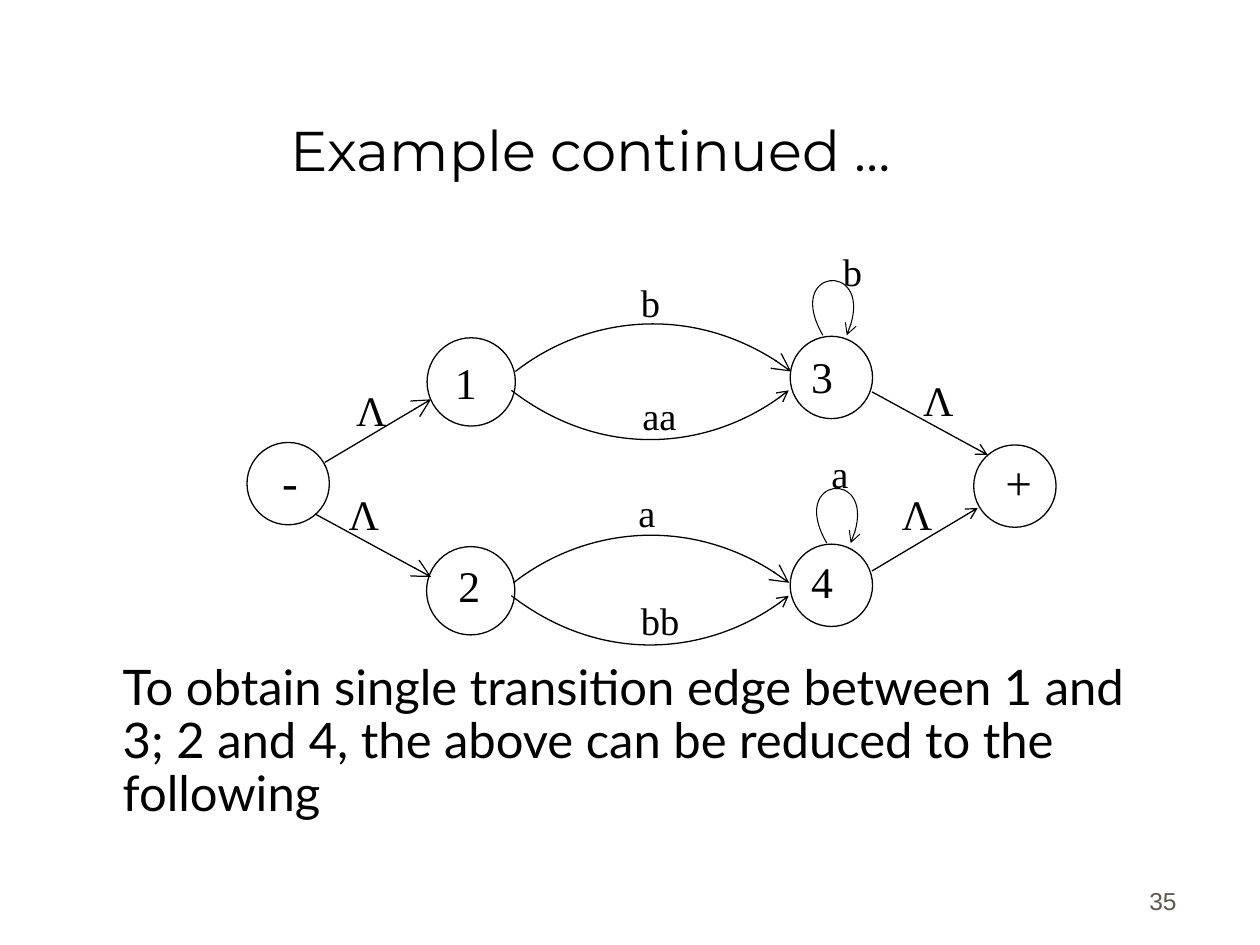
from lxml import etree
from pptx import Presentation
from pptx.dml.color import RGBColor
from pptx.enum import shapes, text
from pptx.oxml.ns import qn
from pptx.util import Cm, Pt

BLACK, WHITE, GREY = "000000", "FFFFFF", "5E574E"
SERIF = "Times New Roman"

TITLE = "Example continued …"
EXPLANATION = ("To obtain single transition edge between 1 and 3; 2 and 4, "
               "the above can be reduced to the following")
PAGE = "35"

# Positions and sizes are in centimetres.
# state: circle left, top, diameter; label left, top, size in points
STATES = {
    "1": (8.61, 6.81, 1.78, 8.92, 7.04, 25),
    "2": (8.6, 11.02, 1.78, 8.99, 11.13, 25),
    "3": (15.93, 6.78, 1.66, 16.1, 6.93, 25),
    "4": (15.93, 10.97, 1.66, 16.1, 11.05, 25),
    "-": (4.98, 8.92, 1.66, 5.44, 8.99, 27),
    "+": (19.63, 8.97, 1.66, 20.02, 9.02, 27),
}
# start, end, arrowhead size
STRAIGHT_EDGES = [
    ((6.55, 9.32), (8.69, 8.05), "lg"),
    ((6.35, 10.36), (8.69, 11.63), "lg"),
    ((17.58, 7.9), (19.91, 9.17), "med"),
    ((17.58, 11.51), (19.71, 10.24), "med"),
]
# Bézier points in the upper row, offset to the lower row, width, arrowhead size
CURVED_EDGES = [
    ([(10.39, 7.49), (11.81, 6.38), (14.12, 6.1), (15.95, 7.49)], (-0.04, 4.26), 0.75, "lg"),
    ([(10.31, 7.87), (12.17, 9.3), (14.48, 9.02), (15.9, 7.87)], (0, 4.14), 0.75, "med"),
    ([(16.59, 6.76), (15.8, 5.41), (17.73, 5.23), (17.07, 6.76)], (0.08, 4.19), 0.6, "med"),
]
# label, left, top, width, size in points
EDGE_LABELS = [
    ("b", 12.67, 5.51, 1.04, 22),
    ("aa", 12.7, 7.77, 1.24, 22),
    ("a", 12.62, 9.73, 1.04, 22),
    ("bb", 12.67, 11.91, 1.7, 22),
    ("b", 16.74, 4.88, 1.04, 22),
    ("a", 16.51, 8.94, 1.04, 22),
    ("Λ", 6.93, 7.62, 1.12, 24),
    ("Λ", 6.78, 9.73, 1.12, 24),
    ("Λ", 18.36, 7.42, 1.12, 24),
    ("Λ", 17.93, 9.73, 1.12, 24),
]


def rgb(color):
    return RGBColor.from_string(color)


def write(shape, words, size, font, color=BLACK):
    frame = shape.text_frame
    frame.word_wrap = True
    frame.auto_size = text.MSO_AUTO_SIZE.NONE
    frame.text = words
    paragraph = frame.paragraphs[0]
    paragraph.space_before = Pt(0)
    paragraph.font.size = Pt(size)
    paragraph.font.name = font
    paragraph.font.color.rgb = rgb(color)
    return paragraph


def place(shape, left, top, width, height):
    shape.left, shape.top = Cm(left), Cm(top)
    shape.width, shape.height = Cm(width), Cm(height)


def add_label(slide, words, left, top, width, height, size):
    box = slide.shapes.add_textbox(Cm(left), Cm(top), Cm(width), Cm(height))
    write(box, words, size, SERIF)


def outline(shape, width=0.75):
    shape.line.color.rgb = rgb(BLACK)
    shape.line.width = Pt(width)


def add_arrowhead(edge, size):
    line = edge.line._get_or_add_ln()
    etree.SubElement(line, qn("a:tailEnd"), type="arrow", w=size, len=size)


def add_state(slide, left, top, diameter):
    circle = slide.shapes.add_shape(shapes.MSO_SHAPE.OVAL, Cm(left), Cm(top),
                                    Cm(diameter), Cm(diameter))
    circle.shadow.inherit = False
    circle.fill.solid()
    circle.fill.fore_color.rgb = rgb(WHITE)
    outline(circle)


def add_straight_edge(slide, start, end, head):
    edge = slide.shapes.add_connector(shapes.MSO_CONNECTOR.STRAIGHT,
                                      *map(Cm, start + end))
    outline(edge)
    add_arrowhead(edge, head)
    etree.SubElement(edge._element.spPr, qn("a:effectLst"))


def add_curved_edge(slide, points, width, head):
    """Build the control polygon, then join its points as one cubic Bézier."""
    start, *controls = [(Cm(x), Cm(y)) for x, y in points]
    builder = slide.shapes.build_freeform(*start)
    builder.add_line_segments(controls, close=False)
    edge = builder.convert_to_shape()
    segments = list(edge._element.iter(qn("a:lnTo")))
    curve = etree.SubElement(segments[0].getparent(), qn("a:cubicBezTo"))
    for segment in segments:
        curve.append(segment[0])
        segment.getparent().remove(segment)
    edge.shadow.inherit = False
    edge.fill.background()
    outline(edge, width)
    add_arrowhead(edge, head)


def main():
    deck = Presentation()
    deck.slide_width, deck.slide_height = Cm(25.4), Cm(19.05)
    slide = deck.slides.add_slide(deck.slide_layouts[1])

    title = slide.shapes.title
    place(title, 1.12, 0.64, 21.59, 3.18)
    write(title, TITLE, 32, "Montserrat").alignment = text.PP_ALIGN.CENTER
    title.text_frame.vertical_anchor = text.MSO_ANCHOR.BOTTOM

    body = slide.placeholders[1]
    place(body, 1.27, 13.25, 22.71, 3.56)
    explanation = write(body, EXPLANATION, 28, "Lato")
    explanation.line_spacing = 0.9
    properties = explanation._p.get_or_add_pPr()
    properties.set("marL", str(Cm(0.95)))
    properties.set("indent", "0")
    properties.insert_element_before(properties.makeelement(qn("a:buNone")),
                                     "a:tabLst", "a:defRPr", "a:extLst")

    for left, top, diameter, *_ in STATES.values():
        add_state(slide, left, top, diameter)
    for edge in STRAIGHT_EDGES:
        add_straight_edge(slide, *edge)
    for points, (dx, dy), width, head in CURVED_EDGES:
        lower_points = [(x + dx, y + dy) for x, y in points]
        for row_points in (points, lower_points):
            add_curved_edge(slide, row_points, width, head)
    for name, (*_, left, top, size) in STATES.items():
        add_label(slide, name, left, top, 2.59, 1.07, size)
    for name, left, top, width, size in EDGE_LABELS:
        add_label(slide, name, left, top, width, 1.27, size)

    page = slide.shapes.add_textbox(Cm(18.69), Cm(17.3), Cm(5.28), Cm(1.27))
    write(page, PAGE, 14, "Arial", GREY).alignment = text.PP_ALIGN.RIGHT
    page.text_frame.vertical_anchor = text.MSO_ANCHOR.BOTTOM

    deck.save("out.pptx")


if __name__ == "__main__":
    main()
